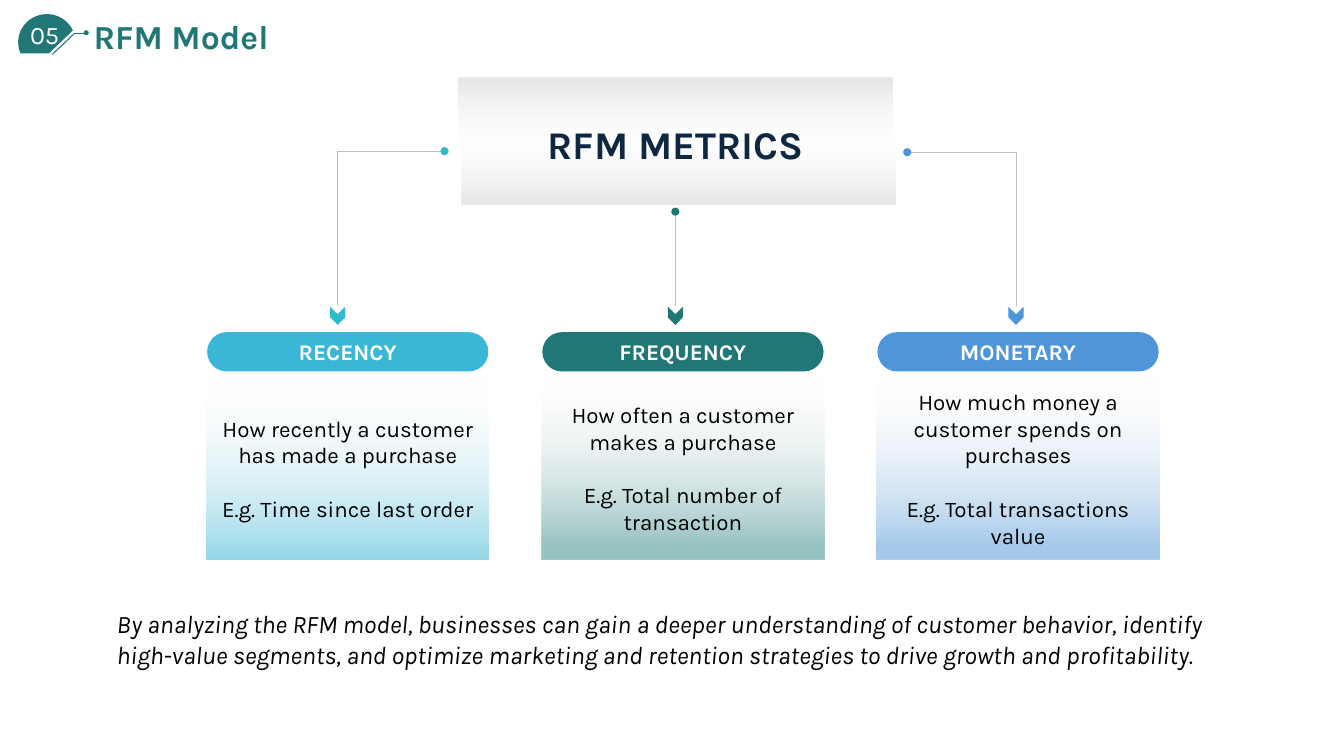
from lxml.etree import SubElement
from pptx import Presentation
from pptx.dml.color import RGBColor
from pptx.enum.shapes import MSO_CONNECTOR as Connector, MSO_SHAPE as Shape
from pptx.enum.text import MSO_ANCHOR as Anchor, PP_ALIGN as Align
from pptx.oxml.ns import qn
from pptx.util import Inches, Pt

WHITE = RGBColor(0xFF, 0xFF, 0xFF)
BLACK = RGBColor(0x00, 0x00, 0x00)
NAVY = RGBColor(0x0E, 0x28, 0x41)
TEAL = RGBColor(0x20, 0x77, 0x76)
PALE_TEAL = RGBColor(0x97, 0xC3, 0xC1)
CYAN = RGBColor(0x3A, 0xB7, 0xD6)
AQUA = RGBColor(0x2F, 0xBB, 0xCC)
BLUE = RGBColor(0x4E, 0x95, 0xD9)
PALE_BLUE = RGBColor(0xA6, 0xCA, 0xEC)
LINE_GREY = RGBColor(0xBF, 0xBF, 0xBF)
PANEL_GREY = RGBColor(0xDF, 0xDF, 0xDF)
MIST = RGBColor(0xF7, 0xF7, 0xF7)

COLUMNS, ROWS = 160, 90


class SlideBuilder:
    font = "Karla"
    line_width = Pt(0.75)

    def __init__(self, presentation):
        self.column = presentation.slide_width / COLUMNS
        self.row = presentation.slide_height / ROWS
        self.slide = presentation.slides.add_slide(presentation.slide_layouts[6])

    def across(self, columns):
        return round(columns * self.column)

    def down(self, rows):
        return round(rows * self.row)

    def place(self, left, top, width, height):
        return self.across(left), self.down(top), self.across(width), self.down(height)

    def shape(self, kind, box, color=None, rotation=0, corner=None):
        shape = self.slide.shapes.add_shape(kind, *self.place(*box))
        shape.shadow.inherit = False
        shape.line.fill.background()
        shape.rotation = rotation
        if corner is not None:
            shape.adjustments[0] = corner
        if color is not None:
            shape.fill.solid()
            shape.fill.fore_color.rgb = color
        return shape

    def faded(self, kind, box, color, start, opacity, angle=90, corner=None):
        shape = self.shape(kind, box, corner=corner)
        shape.fill.gradient()
        shape.fill.gradient_angle = angle
        stops = shape.fill.gradient_stops
        for stop, position, stop_color in zip(stops, (start, 1), (color, MIST)):
            stop.position = position
            stop.color.rgb = stop_color
        colors = shape._element.spPr.iter(qn("a:srgbClr"))
        for element, alpha in zip(list(colors), (opacity, 0)):
            SubElement(element, qn("a:alpha")).set("val", str(alpha * 1000))
        return shape

    def dot(self, x, y, size, color):
        self.shape(Shape.OVAL, (x - size / 2, y - size / 2, size, size), color)

    def line(self, x1, y1, x2, y2, color=LINE_GREY):
        connector = self.slide.shapes.add_connector(
            Connector.STRAIGHT,
            self.across(x1), self.down(y1), self.across(x2), self.down(y2))
        connector.line.color.rgb = color
        connector.line.width = self.line_width
        SubElement(connector._element.spPr, qn("a:effectLst"))

    def label(self, shape, text, size, color, bold=False, italic=False,
              align=Align.CENTER, anchor=Anchor.MIDDLE, wrap=True, gap=0):
        frame = shape.text_frame
        frame.text = text
        frame.word_wrap = wrap
        frame.vertical_anchor = anchor
        for index, paragraph in enumerate(frame.paragraphs):
            paragraph.alignment = align
            paragraph.space_before = Pt(gap if index else 0)
            for run in paragraph.runs:
                run.font.name = self.font
                run.font.size = Pt(size)
                run.font.color.rgb = color
                run.font.bold = bold
                run.font.italic = italic

    def text(self, box, text, size, color, align=Align.LEFT, **style):
        textbox = self.slide.shapes.add_textbox(*self.place(*box))
        self.label(textbox, text, size, color, align=align, anchor=Anchor.TOP, **style)

    def badge(self, number):
        self.shape(Shape.OVAL, (2.16, 1.68, 6.84, 6.72), TEAL)
        self.shape(Shape.RECTANGLE, (2.28, 6.36, 3.96, 4.2), WHITE)
        self.shape(Shape.RECTANGLE, (5.4, 4.92, 5.88, 4.92), WHITE, rotation=316.2)
        self.line(8.88, 3.96, 6.24, 6.48, TEAL)
        self.line(10.08, 3.96, 8.76, 3.96, TEAL)
        self.dot(10.26, 3.9, 0.6, TEAL)
        self.text((2.4, 1.68, 5.88, 4.8), number, 18, WHITE, wrap=False)

    def card(self, left, heading, body, color, fade):
        panel = self.faded(Shape.ROUNDED_RECTANGLE, (left, 44.88, 33.6, 21.72),
                           *fade, corner=0)
        self.label(panel, body, 16, BLACK, gap=19)
        pill = self.shape(Shape.ROUNDED_RECTANGLE, (left + 0.06, 39.54, 33.48, 4.68),
                          color, corner=0.5)
        self.label(pill, heading, 16, WHITE, bold=True)

    def arrow(self, start, x, color):
        start_x, start_y = start
        if start_x != x:
            self.line(start_x, start_y, x, start_y)
        self.line(x, start_y, x, 36.48)
        self.dot(start_x, start_y, 0.96, color)
        self.shape(Shape.CHEVRON, (x - 1.08, 36.7, 2.16, 1.8), color, rotation=90)


def main():
    presentation = Presentation()
    presentation.slide_width = Inches(13.33)
    presentation.slide_height = Inches(7.5)
    builder = SlideBuilder(presentation)

    builder.badge("05")
    builder.text((9.96, 1.32, 45.96, 6), "RFM Model", 24, TEAL, bold=True)

    cards = [
        ("RECENCY", "How recently a customer has made a purchase\n"
         "E.g. Time since last order", CYAN, (CYAN, 0, 55)),
        ("FREQUENCY", "How often a customer makes a purchase\n"
         "E.g. Total number of transaction", TEAL, (PALE_TEAL, 0.07, 100)),
        ("MONETARY", "How much money a customer spends on purchases\n"
         "E.g. Total transactions value", BLUE, (PALE_BLUE, 0.07, 100)),
    ]
    for index, card in enumerate(cards):
        builder.card(24.6 + 39.9 * index, *card)

    for left, top, angle in ((54.6, 9.24, 270), (54.96, 16.2, 90)):
        builder.faded(Shape.RECTANGLE, (left, top, 51.6, 8.16),
                      PANEL_GREY, 0.04, 75, angle)
    builder.text((55.08, 13.68, 50.64, 6.84), "RFM METRICS", 28, NAVY,
                 align=Align.CENTER, bold=True)

    builder.arrow((52.92, 18), 40.2, AQUA)
    builder.arrow((80.4, 25.2), 80.4, TEAL)
    builder.arrow((108, 18.12), 120.96, BLUE)

    builder.text((12.72, 71.88, 137.04, 8.52),
                 "By analyzing the RFM model, businesses can gain a deeper understanding "
                 "of customer behavior, identify high-value segments, and optimize "
                 "marketing and retention strategies to drive growth and profitability.",
                 18, BLACK, italic=True)

    presentation.save("out.pptx")


if __name__ == "__main__":
    main()
